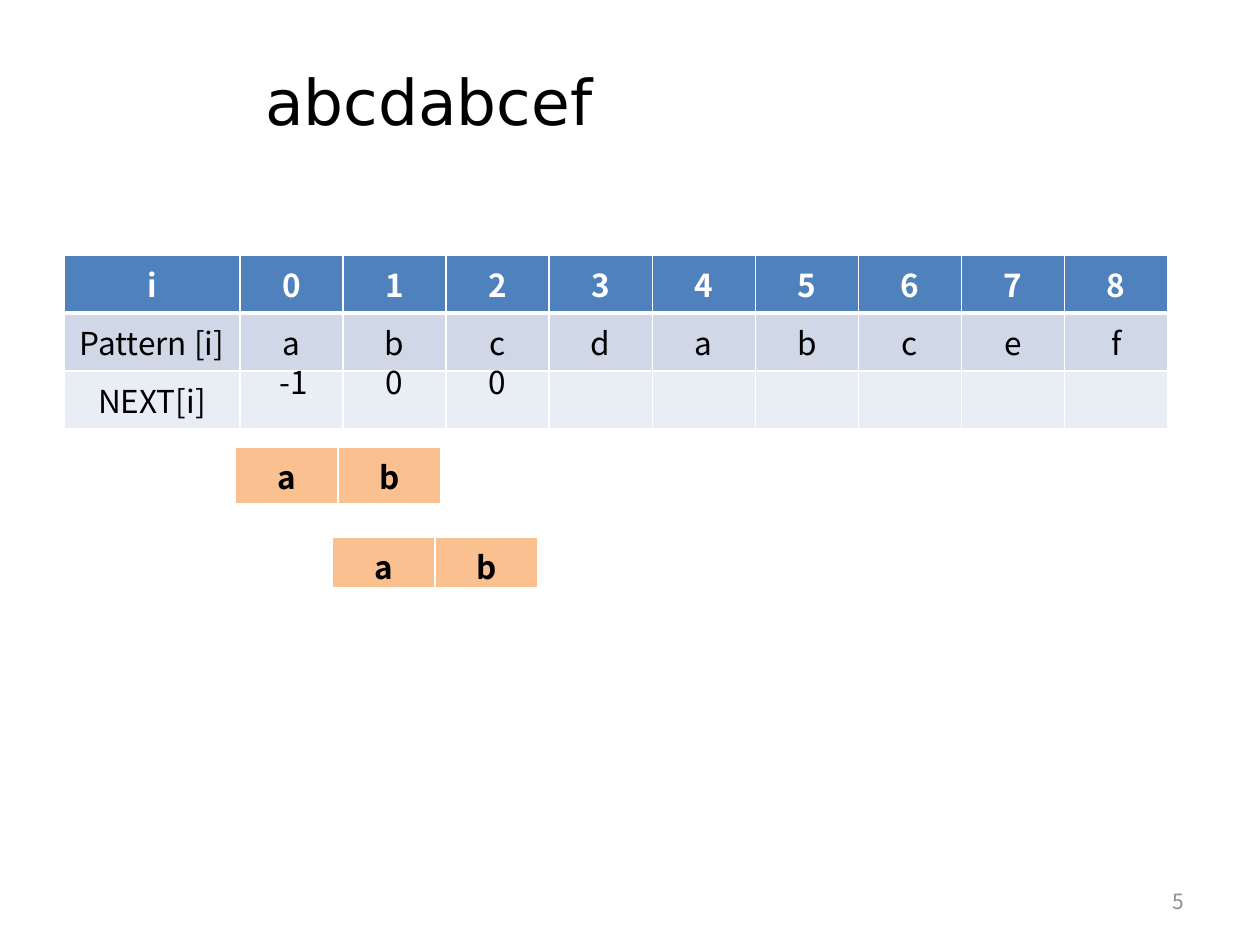
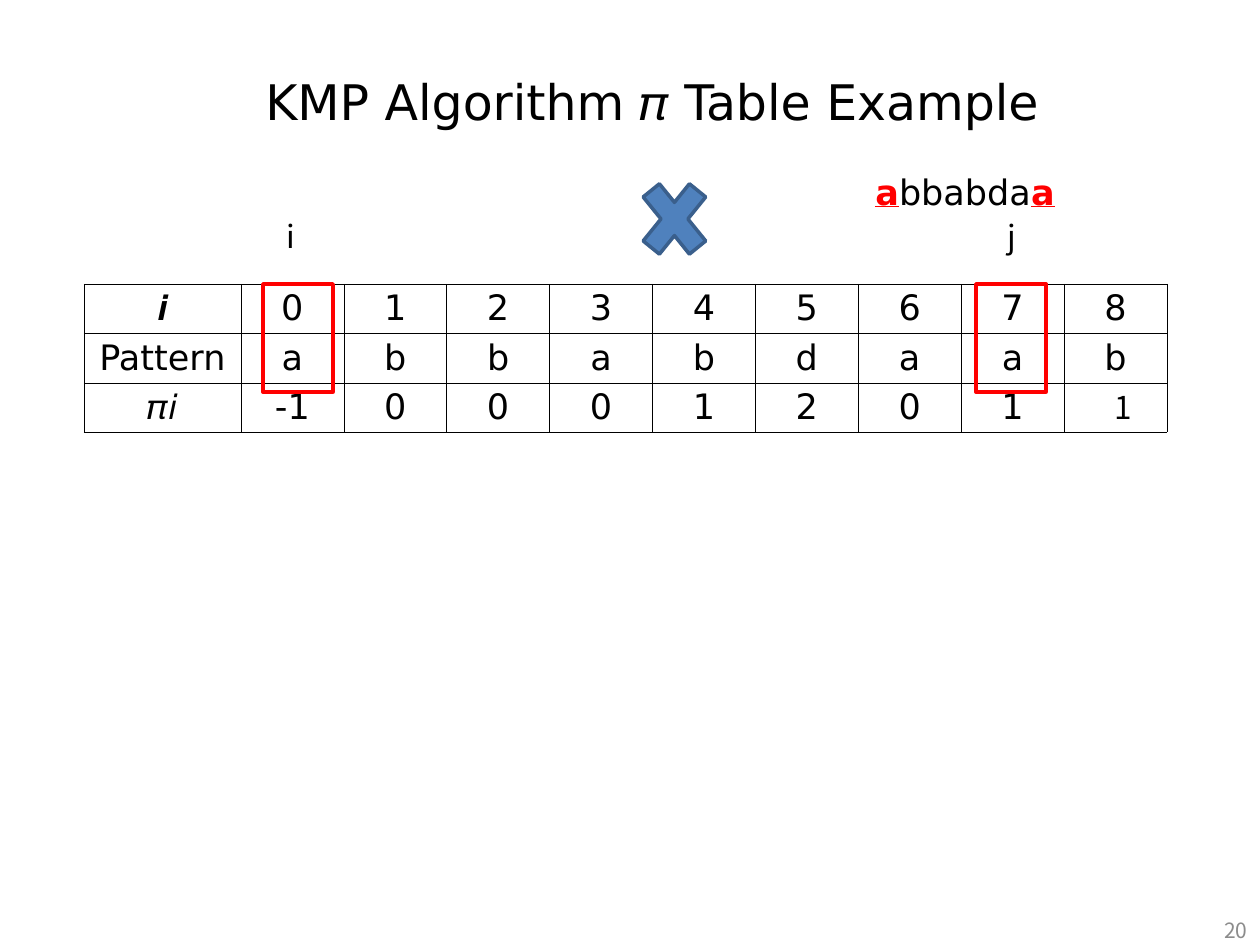
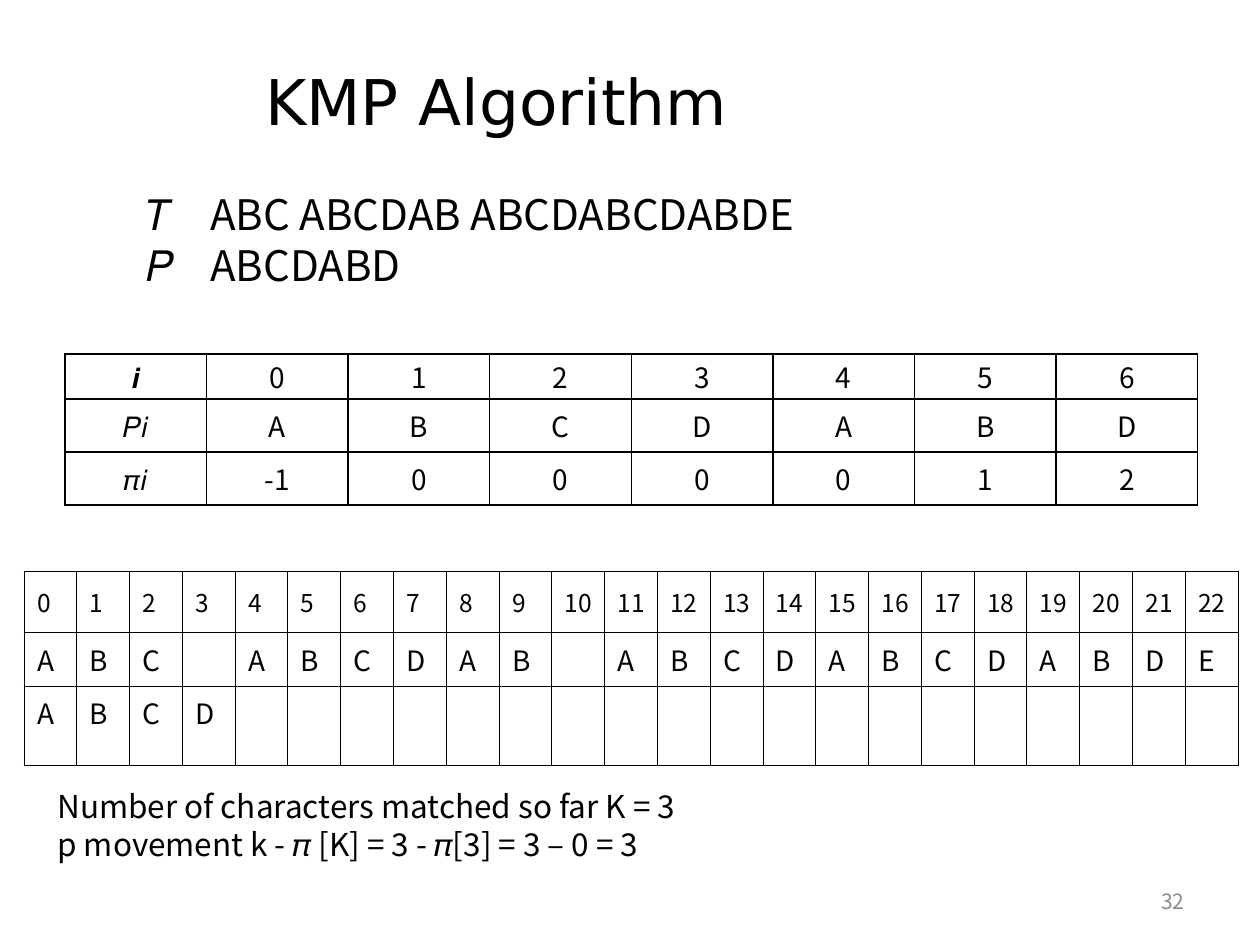
"""Three slides on the KMP algorithm and its failure table."""
from lxml import etree
from pptx import Presentation
from pptx import util as u
from pptx.dml.color import RGBColor
from pptx.enum import shapes, text
from pptx.oxml import ns

PX = 914400 / 126
SANS, CJK = "DejaVu Sans", "Noto Sans CJK KR"
BLACK, WHITE = RGBColor(0, 0, 0), RGBColor(255, 255, 255)
GREY, RED = RGBColor(0x8C, 0x8C, 0x8C), RGBColor(255, 0, 0)
BLUE, DARK_BLUE = RGBColor(0x4F, 0x81, 0xBD), RGBColor(0x3A, 0x5F, 0x8C)
BAND, PALE_BAND = RGBColor(0xD0, 0xD8, 0xE8), RGBColor(0xE9, 0xED, 0xF4)
ORANGE = RGBColor(0xFA, 0xC0, 0x90)
LEFT, CENTER, RIGHT = text.PP_ALIGN.LEFT, text.PP_ALIGN.CENTER, text.PP_ALIGN.RIGHT
TOP, MIDDLE = text.MSO_ANCHOR.TOP, text.MSO_ANCHOR.MIDDLE

NEXT_ROWS = [["i", *"012345678"],
             ["Pattern [i]", *"abcdabcef"],
             ["NEXT[i]", *[""] * 9]]
NEXT_VALUES = [("-1", 266, 55), ("0", 373, 43), ("0", 476, 43)]
SHIFTED_AB = [(235, 447, 58, 6), (332, 537, 52, 0)]

PI_ROWS = [["𝒊", *"012345678"],
           ["Pattern", *"abbabdaab"],
           ["𝜋𝑖", "-1", *"0001201", ""]]
POINTERS = [("i", 263, 274), ("j", 976, 995)]
BORDER_RUNS = [("a", True), ("bbabda", False), ("a", True)]

TEXT_AND_PATTERN = ["𝑇\tABC ABCDAB ABCDABCDABDE", "𝑃\tABCDABD"]
PREFIX_ROWS = [["𝒊", *"0123456"],
               ["𝑃𝑖", *"ABCDABD"],
               ["𝜋𝑖", "-1", *"000012"]]
SEARCH_ROWS = [[str(n) for n in range(23)],
               list("ABC ABCDAB ABCDABCDABDE"),
               list("ABCD".ljust(23))]
MOVEMENT = ["Number of characters matched so far K = 3",
            "p movement k - 𝜋 [K] = 3 - 𝜋[3] = 3 – 0 = 3"]


def px(*lengths):
    return [u.Emu(round(n * PX)) for n in lengths]


def style(p, size, font=CJK, color=BLACK, align=LEFT, bold=False):
    p.alignment = align
    p.font.size, p.font.name, p.font.bold = u.Pt(size), font, bold
    p.font.color.rgb = color


def add_text(s, lines, box, size, anchor=TOP, wrap=True, spacing=None, tab=None, **look):
    tf = s.shapes.add_textbox(*px(*box)).text_frame
    tf.word_wrap, tf.vertical_anchor = wrap, anchor
    for n, line in enumerate(lines):
        p = tf.add_paragraph() if n else tf.paragraphs[0]
        p.add_run().text = line
        if spacing:
            p.line_spacing = u.Pt(spacing)
        if tab:
            tabs = etree.SubElement(p._p.get_or_add_pPr(), ns.qn("a:tabLst"))
            etree.SubElement(tabs, ns.qn("a:tab"), pos=str(px(tab)[0]), algn="l")
        style(p, size, **look)
    return tf


def add_slide(prs, title, number, title_size=36, number_at=(903, 876)):
    s = prs.slides.add_slide(prs.slide_layouts[6])
    add_text(s, [title], (253, 37, 890, 127), title_size, MIDDLE, font=SANS)
    add_text(s, [str(number)], (*number_at, 294, 50), 12, MIDDLE, color=GREY, align=RIGHT)
    return s


def set_borders(cell, color, width, bottom):
    pr = cell._tc.get_or_add_tcPr()
    for n, side in enumerate(("lnL", "lnR", "lnT", "lnB")):
        pt = bottom if side == "lnB" else width
        ln = etree.Element(ns.qn("a:" + side), w=str(u.Pt(pt)))
        fill = etree.SubElement(ln, ns.qn("a:solidFill"))
        etree.SubElement(fill, ns.qn("a:srgbClr"), val=str(color))
        pr.insert(n, ln)


def add_grid(s, rows, at, width, heights, sizes, first=None, fills=None, line=(BLACK, 1),
             bottoms=None, anchors=None, margins=(13, 6, 13, 6), head=None, **look):
    count = len(rows[0])
    first = first or width / count
    box = px(*at, width, sum(heights))
    table = s.shapes.add_table(len(rows), count, *box).table
    table.first_row = table.horz_banding = False
    for n, col in enumerate(table.columns):
        col.width = px((width - first) / (count - 1) if n else first)[0]
    for r, row in enumerate(rows):
        table.rows[r].height = px(heights[r])[0]
        for c, value in enumerate(row):
            cell = table.cell(r, c)
            cell.margin_left, cell.margin_top, cell.margin_right, cell.margin_bottom = px(*margins)
            cell.vertical_anchor = anchors[r] if anchors else TOP
            if fills:
                cell.fill.solid()
                cell.fill.fore_color.rgb = fills[r]
            else:
                cell.fill.background()
            set_borders(cell, *line, bottoms[r] if bottoms else line[1])
            p = cell.text_frame.paragraphs[0]
            if value.strip():
                p.add_run().text = value
            style(p, sizes[r], **{**look, **(head if head and r == 0 else {})})


def add_outlined(s, kind, box, color, fill=None):
    sp = s.shapes.add_shape(kind, *px(*box))
    sp.shadow.inherit = False
    sp.line.color.rgb, sp.line.width = color, u.Pt(2)
    if fill:
        sp.fill.solid()
        sp.fill.fore_color.rgb = fill
    else:
        sp.fill.background()


def next_slide(prs):
    s = add_slide(prs, "abcdabcef", 5)
    add_grid(s, NEXT_ROWS, (64, 255), 1104, [58] * 3, [18] * 3, first=176,
             fills=[BLUE, BAND, PALE_BAND], line=(WHITE, 1), bottoms=[3, 1, 1],
             head={"color": WHITE, "bold": True}, align=CENTER)
    for left, top, height, below in SHIFTED_AB:
        add_grid(s, [["a", "b"]], (left, top), 206, [height], [18], fills=[ORANGE],
                 line=(WHITE, 1), bottoms=[3], margins=(13, 6, 13, below),
                 align=CENTER, bold=True)
    for value, left, width in NEXT_VALUES:
        add_text(s, [value], (left, 357, width, 50), 18, wrap=False, align=CENTER)


def pi_slide(prs):
    s = add_slide(prs, "KMP Algorithm 𝜋 Table Example", 20, 28, (966, 905))
    add_grid(s, PI_ROWS, (84, 284), 1083, [49, 50, 49], [20] * 3, first=157,
             line=(BLACK, 0.28), anchors=[MIDDLE] * 3, margins=(9, 2, 9, 2),
             font=SANS, align=CENTER)
    for name, frame_left, label_left in POINTERS:
        add_outlined(s, shapes.MSO_SHAPE.RECTANGLE, (frame_left, 284, 70, 108), RED)
        add_text(s, [name], (label_left, 211, 33, 50), 18, wrap=False, align=CENTER)
    tf = add_text(s, [], (863, 164, 277, 55), 20)
    p = tf.paragraphs[0]
    style(p, 20, font=SANS)
    for part, matched in BORDER_RUNS:
        r = p.add_run()
        r.text = part
        if matched:
            r.font.bold = r.font.underline = True
            r.font.color.rgb = RED
    add_outlined(s, shapes.MSO_SHAPE.MATH_MULTIPLY, (630, 164, 89, 110), DARK_BLUE, BLUE)
    add_text(s, ["1"], (1100, 382, 47, 50), 18, align=CENTER)


def search_slide(prs):
    s = add_slide(prs, "KMP Algorithm", 32)
    add_grid(s, PREFIX_ROWS, (65, 354), 1133, [45, 53, 53], [16] * 3,
             anchors=[MIDDLE] * 3, margins=(10, 2, 10, 2), align=CENTER)
    add_text(s, TEXT_AND_PATTERN, (134, 182, 912, 115), 24, spacing=29, tab=64)
    add_grid(s, SEARCH_ROWS, (24, 571), 1214, [61, 54, 80], [14, 16, 16],
             line=(BLACK, 0.56), anchors=[MIDDLE, MIDDLE, TOP], margins=(13, 6, 6, 6))
    add_text(s, MOVEMENT, (45, 780, 704, 89), 18, MIDDLE, spacing=22)


def main():
    prs = Presentation()
    prs.slide_width, prs.slide_height = px(1260, 945)
    for build in (next_slide, pi_slide, search_slide):
        build(prs)
    prs.save("out.pptx")


if __name__ == "__main__":
    main()
